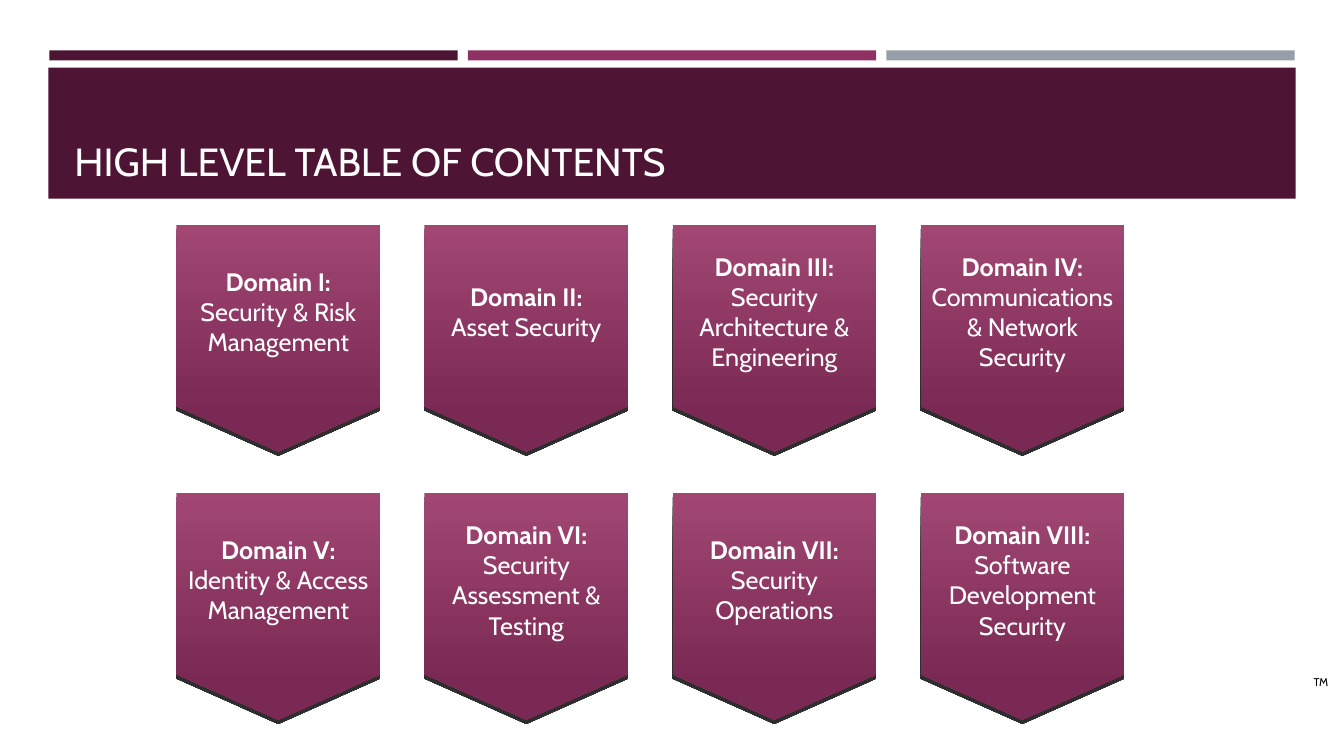
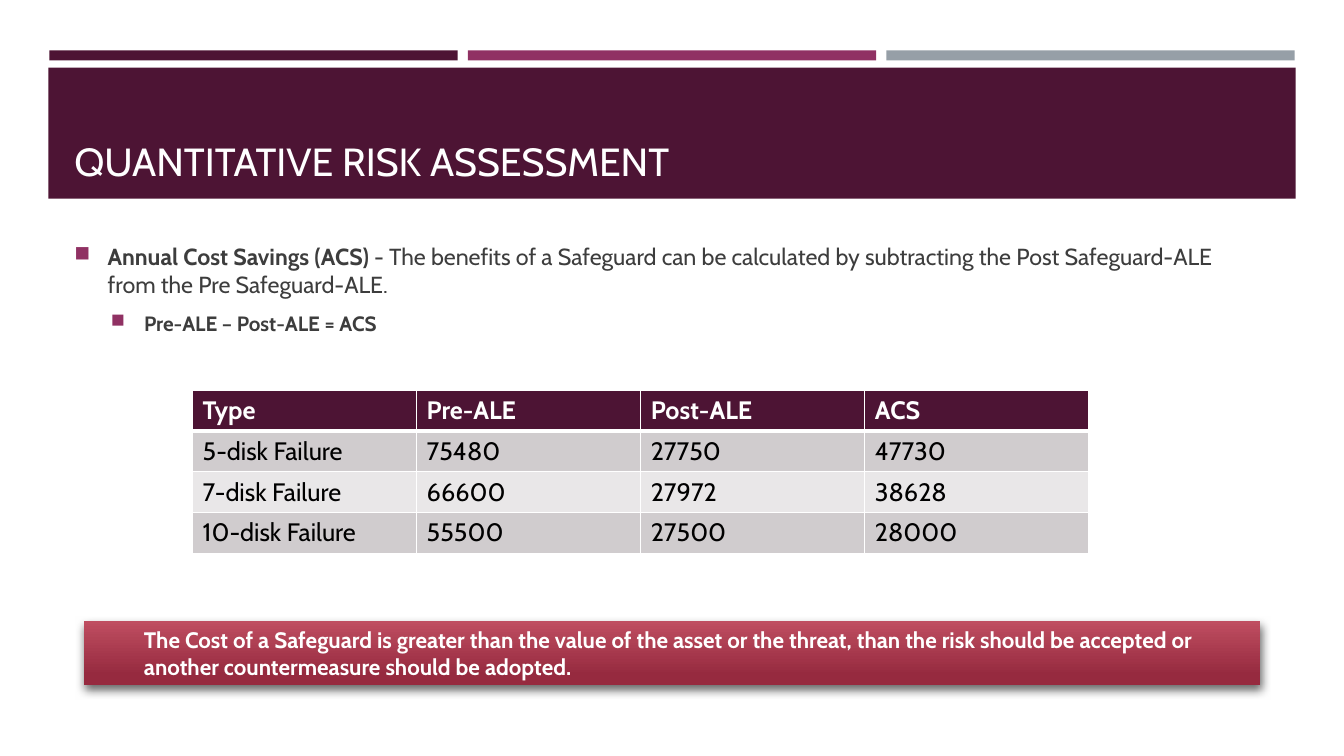
from dataclasses import dataclass

from lxml.etree import SubElement
from pptx import Presentation
from pptx.dml.color import RGBColor
from pptx.enum.shapes import MSO_SHAPE
from pptx.enum.text import MSO_ANCHOR, PP_ALIGN
from pptx.oxml.ns import qn
from pptx.util import Inches, Pt


@dataclass(frozen=True)
class Theme:
    font: str = "Cabin"
    plum: str = "4D1434"
    magenta: str = "903163"
    grey: str = "969FA7"
    white: str = "FFFFFF"
    black: str = "000000"
    body: str = "3D3D3D"
    badge: tuple = ("A24774", "792953")
    callout: tuple = ("BF4E61", "962A3F")
    rows: tuple = ("D0CCCE", "E9E7E8")
    title_size: float = 28
    label_size: float = 18
    body_size: float = 16.6
    formula_size: float = 14.8
    callout_size: float = 16
    mark_size: float = 8


THEME = Theme()

DOMAINS = [
    ("Domain I:", "Security & Risk Management"),
    ("Domain II:", "Asset Security"),
    ("Domain III:", "Security Architecture & Engineering"),
    ("Domain IV:", "Communications & Network Security"),
    ("Domain V:", "Identity & Access Management"),
    ("Domain VI:", "Security Assessment & Testing"),
    ("Domain VII:", "Security Operations"),
    ("Domain VIII:", "Software Development Security"),
]

SAVINGS = [
    ("Type", "Pre-ALE", "Post-ALE", "ACS"),
    ("5-disk Failure", "75480", "27750", "47730"),
    ("7-disk Failure", "66600", "27972", "38628"),
    ("10-disk Failure", "55500", "27500", "28000"),
]


def rgb(colour):
    return RGBColor.from_string(colour)


def style(para, size, colour, bold=None):
    para.font.name = THEME.font
    para.font.size = Pt(size)
    para.font.color.rgb = rgb(colour)
    para.font.bold = bold


def add_span(para, text, bold=None):
    span = para.add_run()
    span.text = text
    span.font.bold = bold


def add_box(page, box, anchor=MSO_ANCHOR.TOP, wrap=True):
    frame = page.shapes.add_textbox(*map(Inches, box)).text_frame
    frame.word_wrap = wrap
    frame.vertical_anchor = anchor
    return frame


def add_panel(page, box, fill, preset=MSO_SHAPE.RECTANGLE):
    """Draw a borderless shape; a pair of colours makes a downward gradient."""
    panel = page.shapes.add_shape(preset, *map(Inches, box))
    panel.shadow.inherit = False
    panel.line.fill.background()
    if isinstance(fill, str):
        panel.fill.solid()
        panel.fill.fore_color.rgb = rgb(fill)
    else:
        panel.fill.gradient()
        panel.fill.gradient_angle = 270
        for stop, colour, position in zip(panel.fill.gradient_stops, fill, (0, 0.84)):
            stop.color.rgb = rgb(colour)
            stop.position = position
    return panel


def cast_shadow(panel, blur, distance, angle, opacity):
    effects = panel._element.spPr.find(qn("a:effectLst"))
    shadow = SubElement(effects, qn("a:outerShdw"), blurRad=str(Pt(blur)),
                        dist=str(Pt(distance)), dir=str(angle * 60000),
                        algn="ctr", rotWithShape="0")
    colour = SubElement(shadow, qn("a:srgbClr"), val=THEME.black)
    SubElement(colour, qn("a:alpha"), val=str(opacity * 1000))


def set_indent(para, left, hanging=0):
    props = para._p.get_or_add_pPr()
    props.set("marL", str(Inches(left)))
    props.set("indent", str(Inches(-hanging)))
    return props


def add_bullet(para, left, hanging):
    props = set_indent(para, left, hanging)
    colour = SubElement(props, qn("a:buClr"))
    SubElement(colour, qn("a:srgbClr"), val=THEME.magenta)
    SubElement(props, qn("a:buSzPct"), val="92000")
    SubElement(props, qn("a:buChar"), char="■")


def add_page(deck, title):
    """Add a blank page with the three stripes and the title band."""
    page = deck.slides.add_slide(deck.slide_layouts[6])
    for index, colour in enumerate((THEME.plum, THEME.magenta, THEME.grey)):
        add_panel(page, (0.49 + 4.15 * index, 0.5, 4.05, 0.1), colour)
    add_panel(page, (0.48, 0.67, 12.37, 1.3), THEME.plum)
    para = add_box(page, (0.64, 0.77, 12.06, 1.11), MSO_ANCHOR.BOTTOM).paragraphs[0]
    para.text = title
    style(para, THEME.title_size, THEME.white)
    return page


def add_badge(page, box, name, subject):
    badge = add_panel(page, box, THEME.badge, MSO_SHAPE.FLOWCHART_OFFPAGE_CONNECTOR)
    cast_shadow(badge, blur=0, distance=3, angle=90, opacity=82)
    frame = badge.text_frame
    frame.word_wrap = True
    frame.vertical_anchor = MSO_ANCHOR.MIDDLE
    frame.margin_left = frame.margin_right = Inches(0.08)
    frame.margin_bottom = Inches(0.13)
    for para, text, bold in ((frame.paragraphs[0], name, True),
                             (frame.add_paragraph(), subject, False)):
        para.text = text
        para.alignment = PP_ALIGN.CENTER
        style(para, THEME.label_size, THEME.white, bold)


def add_badge_grid(page, box, columns=4, size=(2.02, 2.25)):
    left, top, width, height = box
    badge_width, badge_height = size
    rows = len(DOMAINS) // columns
    step_x = (width - badge_width) / (columns - 1)
    step_y = (height - badge_height) / (rows - 1)
    for index, (name, subject) in enumerate(DOMAINS):
        row, column = divmod(index, columns)
        place = (left + column * step_x, top + row * step_y, badge_width, badge_height)
        add_badge(page, place, name, subject)


def add_definition(page, box):
    frame = add_box(page, box, MSO_ANCHOR.MIDDLE)
    frame.margin_right = Inches(0.2)
    meaning = frame.paragraphs[0]
    add_bullet(meaning, 0.33, 0.33)
    add_span(meaning, "Annual Cost Savings (ACS) ", True)
    add_span(meaning, "- The benefits of a Safeguard can be calculated by subtracting "
                      "the Post Safeguard-ALE from the Pre Safeguard-ALE.")
    style(meaning, THEME.body_size, THEME.body)
    formula = frame.add_paragraph()
    formula.level = 1
    add_bullet(formula, 0.69, 0.33)
    formula.text = "Pre-ALE – Post-ALE = ACS"
    formula.space_before = Pt(3)
    style(formula, THEME.formula_size, THEME.body, True)
    for para in (meaning, formula):
        para.space_after = Pt(6)


def set_borders(cell, widths):
    props = cell._tc.get_or_add_tcPr()
    for side, width in widths.items():
        line = SubElement(props, qn(f"a:ln{side}"), w=str(Pt(width)))
        fill = SubElement(line, qn("a:solidFill"))
        SubElement(fill, qn("a:srgbClr"), val=THEME.white)


def add_savings_table(page, box):
    table = page.shapes.add_table(len(SAVINGS), len(SAVINGS[0]), *map(Inches, box)).table
    for row, values in enumerate(SAVINGS):
        header = row == 0
        fill = THEME.plum if header else THEME.rows[(row - 1) % 2]
        for column, value in enumerate(values):
            cell = table.cell(row, column)
            set_borders(cell, {"L": 1, "R": 1, "T": 3 if row == 1 else 1,
                               "B": 3 if header else 1})
            cell.fill.solid()
            cell.fill.fore_color.rgb = rgb(fill)
            para = cell.text_frame.paragraphs[0]
            para.text = value
            style(para, THEME.label_size, THEME.white if header else THEME.black, header)


def add_callout(page, box, text):
    callout = add_panel(page, box, THEME.callout)
    cast_shadow(callout, blur=7, distance=3, angle=84, opacity=60)
    frame = callout.text_frame
    frame.word_wrap = True
    frame.vertical_anchor = MSO_ANCHOR.MIDDLE
    para = frame.paragraphs[0]
    para.text = text
    para.alignment = PP_ALIGN.LEFT
    set_indent(para, 0.5)
    style(para, THEME.callout_size, THEME.white, True)


def build_contents(deck):
    page = add_page(deck, "HIGH LEVEL TABLE OF CONTENTS")
    add_badge_grid(page, (1.75, 2.23, 9.4, 4.91))
    mark = add_box(page, (12.93, 6.65, 0.4, 0.24), wrap=False).paragraphs[0]
    mark.text = "TM"
    style(mark, THEME.mark_size, THEME.black)


def build_risk_assessment(deck):
    page = add_page(deck, "QUANTITATIVE RISK ASSESSMENT")
    add_definition(page, (0.64, 2.38, 12.06, 0.98))
    add_savings_table(page, (1.91, 3.87, 8.89, 1.62))
    add_callout(page, (0.83, 6.16, 11.67, 0.64),
                "The Cost of a Safeguard is greater than the value of the asset or the "
                "threat, than the risk should be accepted or another countermeasure "
                "should be adopted.")


def main():
    deck = Presentation()
    deck.slide_width = Inches(13.33)
    deck.slide_height = Inches(7.5)
    build_contents(deck)
    build_risk_assessment(deck)
    deck.save("out.pptx")


if __name__ == "__main__":
    main()
